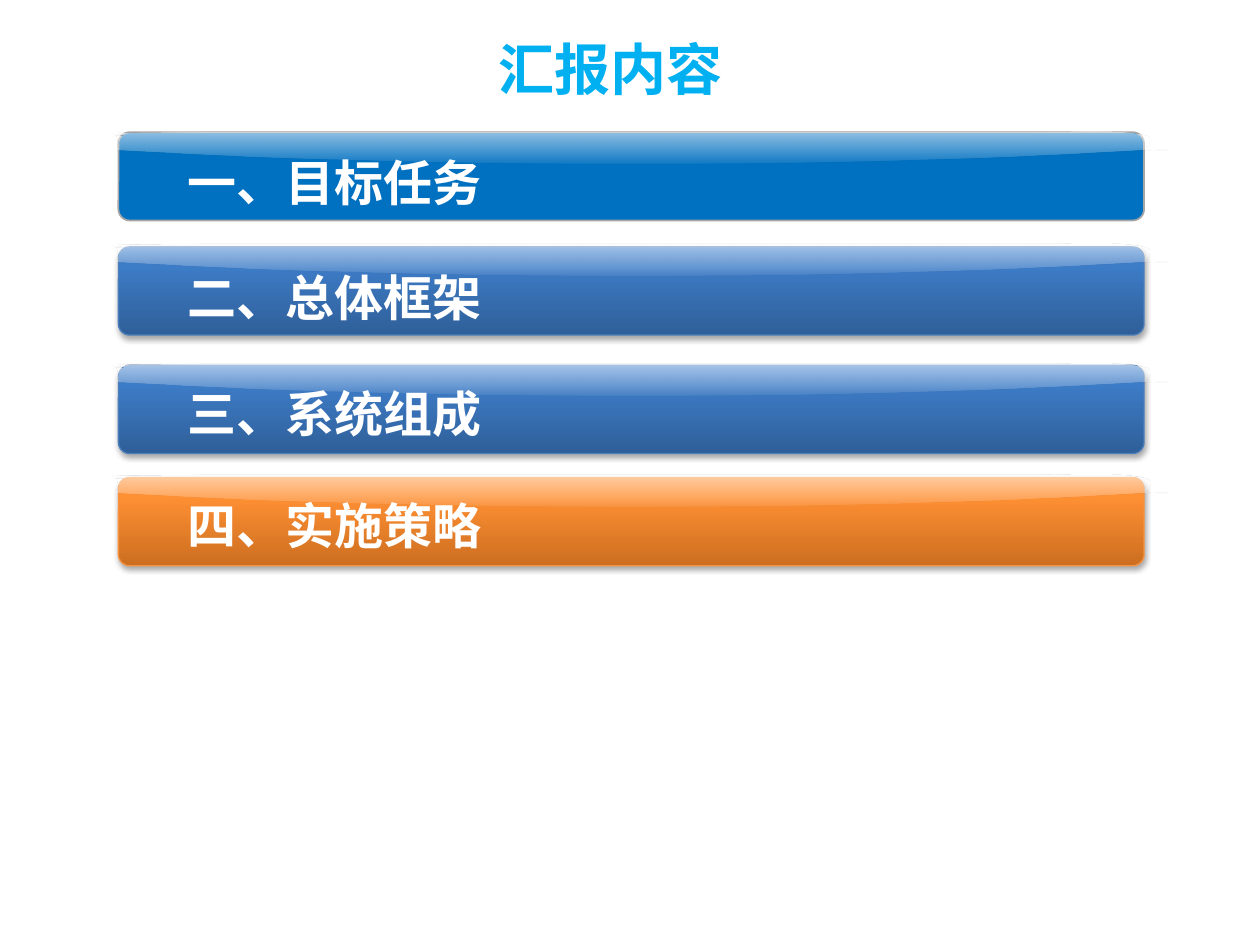
import dataclasses
import typing

import lxml.etree
import pptx
import pptx.dml.color
import pptx.enum.shapes
import pptx.enum.text
import pptx.oxml.ns
import pptx.util

Inches = pptx.util.Inches
Shape = pptx.enum.shapes.MSO_SHAPE
Align = pptx.enum.text.PP_ALIGN
Anchor = pptx.enum.text.MSO_ANCHOR
Stops = typing.Sequence[tuple]

FACE = "Noto Sans CJK SC"
COLORS = {
    "white": "FFFFFF", "black": "000000", "flat": "0070C0", "gray": "A6A6A6",
    "sky": "00B0F0", "cream": "FFF5F1",
    "navy": "2F5F99", "blue": "3D7CC7", "azure": "3A7CCB", "edge": "4B7EBC",
    "rust": "CC6E20", "orange": "FF9034", "amber": "FF9136", "rim": "F69240",
}
TITLE = [(0, "flat"), (78, "sky"), (100, "cream")]
BLUE = [(0, "navy"), (80, "blue"), (100, "azure")]
ORANGE = [(0, "rust"), (80, "orange"), (100, "amber")]
GLOSS = [(0, "white", 45), (13, "white", 53), (98, "white", 7)]

LEFT, WIDTH, HEIGHT = 0.94, 8.14, 0.7
START = (0.93, 0.12)
CURVES = [
    [(2.22, 0.19), (2.57, 0.19), (3.35, 0.21)],
    [(4.27, 0.23), (5.29, 0.23), (6.24, 0.22)],
    [(7.13, 0.2), (7.85, 0.19), (9.05, 0.12)],
    [(9.52, 0.11), (9.09, 0.13), (9.09, 0.11)],
    [(9.09, 0.09), (9.19, 0.02), (9.05, 0)],
    [(8.85, -0.04), (8.58, -0.02), (8.19, -0.02)],
    [(1.63, -0.02)],
    [(0.43, -0.01), (1.08, -0.01), (0.97, 0.01)],
    [(0.86, 0.01), (0.93, -0.02), (0.92, -0.01)],
    [(0.92, 0), (0.94, 0.04), (0.94, 0.06)],
    [(0.94, 0.08), (0.93, 0.1), START],
]


@dataclasses.dataclass
class Bar:
    text: str
    top: float
    line: str
    stops: Stops = ()
    shine: float = 0
    drop: float = 0.06


BARS = [
    Bar("二、总体框架", 1.96, "edge", BLUE, drop=0.08),
    Bar("一、目标任务", 1.05, "gray", shine=0.02, drop=0.08),
    Bar("三、系统组成", 2.9, "edge", BLUE, shine=0.01),
    Bar("四、实施策略", 3.79, "rim", ORANGE),
]


def color(name: str) -> pptx.dml.color.RGBColor:
    return pptx.dml.color.RGBColor.from_string(COLORS[name])


def node(host: typing.Any, tag: str, **attrs: typing.Any) -> typing.Any:
    values = {key: str(value) for key, value in attrs.items()}
    return lxml.etree.SubElement(host, pptx.oxml.ns.qn(tag), values)


def tint(host: typing.Any, name: str, alpha: int = 100) -> None:
    item = node(host, "a:srgbClr", val=COLORS[name])
    if alpha < 100:
        node(item, "a:alpha", val=alpha * 1000)


def shade(fill: typing.Any, host: typing.Any, stops: Stops, angle: int) -> None:
    fill.gradient()
    fill.gradient_angle = angle
    rows = host.find(".//" + pptx.oxml.ns.qn("a:gsLst"))
    for old in list(rows):
        rows.remove(old)
    for pos, *tone in stops:
        tint(node(rows, "a:gs", pos=pos * 1000), *tone)


def write(shape: typing.Any, text: str, size: float, name: str = "white",
          stops: Stops = (), align: Align = Align.LEFT) -> None:
    frame = shape.text_frame
    frame.word_wrap = True
    frame.vertical_anchor = Anchor.MIDDLE
    para = frame.paragraphs[0]
    para.alignment = align
    run = para.add_run()
    run.text = text
    font = run.font
    font.name, font.size, font.bold = FACE, pptx.util.Pt(size), True
    props = run._r.get_or_add_rPr()
    if stops:
        shade(font.fill, props, stops, 270)
    else:
        font.color.rgb = color(name)
    node(props, "a:ea", typeface=FACE)


def base(shapes: typing.Any, bar: Bar) -> None:
    shape = shapes.add_shape(Shape.ROUNDED_RECTANGLE, Inches(LEFT), Inches(bar.top),
                             Inches(WIDTH), Inches(HEIGHT))
    shape.adjustments[0] = 0.127
    shape.shadow.inherit = False
    shape.line.color.rgb = color(bar.line)
    shape.line.width = pptx.util.Pt(0.75 if bar.stops else 1)
    if not bar.stops:
        shape.fill.solid()
        shape.fill.fore_color.rgb = color("flat")
        return
    props = shape._element.spPr
    shade(shape.fill, props, bar.stops, 90)
    glow = node(props.find(pptx.oxml.ns.qn("a:effectLst")), "a:outerShdw",
                blurRad=pptx.util.Pt(3.1), dist=pptx.util.Pt(1.8),
                dir=5400000, rotWithShape=0)
    tint(glow, "black", 35)


def bend(shape: typing.Any) -> None:
    lines = iter(list(shape._element.iter(pptx.oxml.ns.qn("a:lnTo"))))
    for ends in CURVES:
        first, *rest = [next(lines) for _ in ends]
        if not rest:
            continue
        arc = first.makeelement(pptx.oxml.ns.qn("a:cubicBezTo"))
        first.addprevious(arc)
        for line in (first, *rest):
            arc.append(line[0])
            line.getparent().remove(line)


def shine(shapes: typing.Any, bar: Bar) -> None:
    top = bar.top + bar.shine
    first, *rest = [(Inches(x), Inches(y + top))
                    for x, y in [START, *sum(CURVES, [])]]
    pen = shapes.build_freeform(*first)
    pen.add_line_segments(rest, close=True)
    shape = pen.convert_to_shape()
    bend(shape)
    shape.shadow.inherit = False
    shape.line.fill.background()
    shade(shape.fill, shape._element.spPr, GLOSS, 270)


def label(shapes: typing.Any, bar: Bar) -> None:
    shape = shapes.add_shape(Shape.ROUNDED_RECTANGLE, Inches(1.36),
                             Inches(bar.top + bar.drop), Inches(7.72), Inches(0.63))
    shape.shadow.inherit = False
    shape.fill.background()
    shape.line.fill.background()
    write(shape, bar.text, 28)
    shape.text_frame.auto_size = pptx.enum.text.MSO_AUTO_SIZE.SHAPE_TO_FIT_TEXT


def main() -> None:
    deck = pptx.Presentation()
    deck.slide_width, deck.slide_height = Inches(10), Inches(7.5)
    slide = deck.slides.add_slide(deck.slide_layouts[5])
    title = slide.shapes.title
    title.left, title.top = Inches(0.35), Inches(0.25)
    title.width, title.height = Inches(9), Inches(0.58)
    write(title, "汇报内容", 32, stops=TITLE, align=Align.CENTER)
    for bar in BARS:
        shapes = slide.shapes.add_group_shape().shapes
        for draw in (base, shine, label):
            draw(shapes, bar)
    deck.save("out.pptx")


if __name__ == "__main__":
    main()
